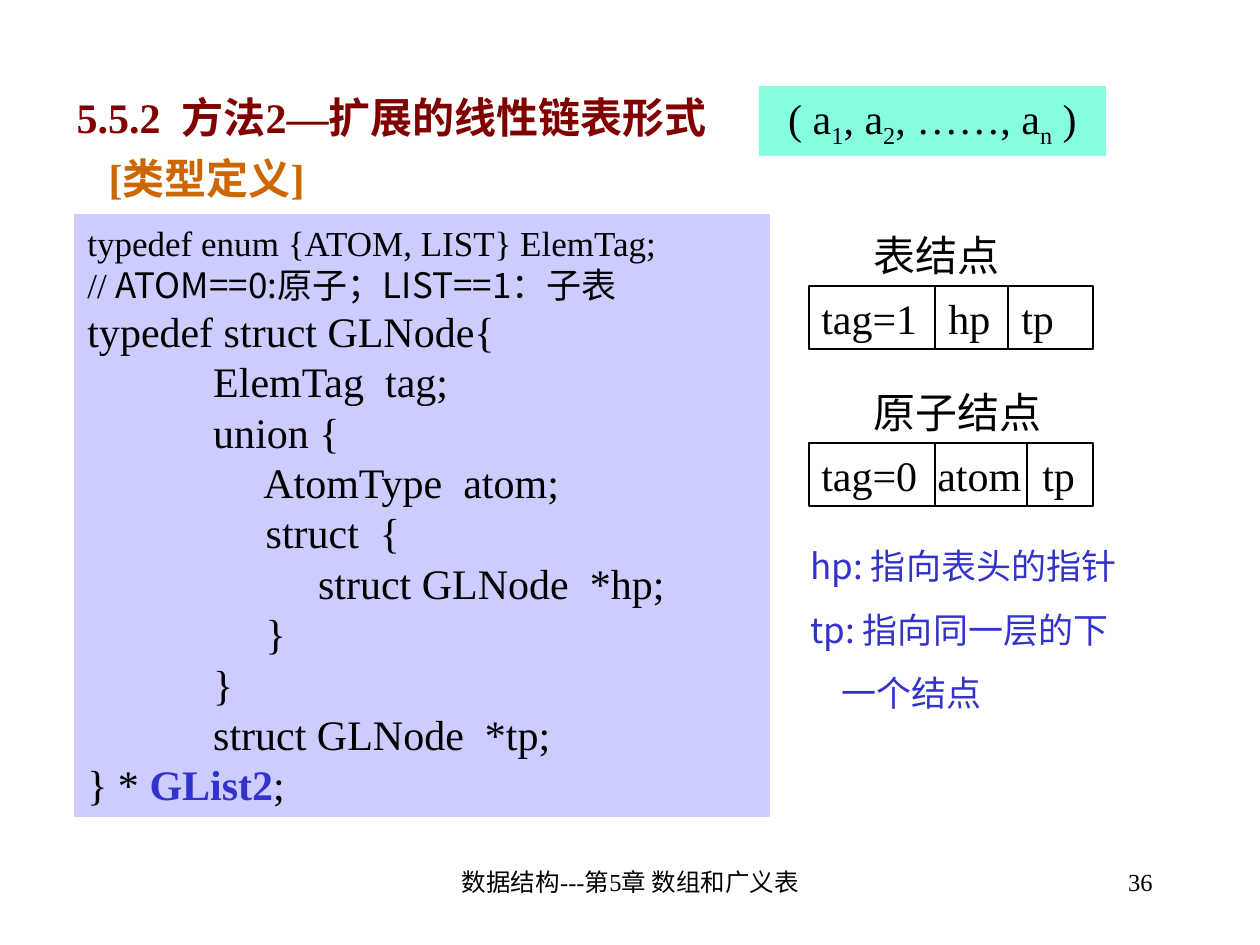
from lxml import etree
from pptx import Presentation
from pptx.dml.color import RGBColor
from pptx.enum.shapes import MSO_CONNECTOR, MSO_SHAPE
from pptx.enum.text import MSO_ANCHOR, PP_ALIGN
from pptx.oxml.ns import qn
from pptx.util import Pt

LEFT, CENTER, RIGHT = PP_ALIGN.LEFT, PP_ALIGN.CENTER, PP_ALIGN.RIGHT
TOP, BOTTOM = MSO_ANCHOR.TOP, MSO_ANCHOR.BOTTOM
RECTANGLE, STRAIGHT = MSO_SHAPE.RECTANGLE, MSO_CONNECTOR.STRAIGHT

PX = 914400 / 126
SERIF, SANS = "Times New Roman", "Noto Sans CJK SC"
COLORS = {
    "ink": "000000", "maroon": "800000", "orange": "CC6600",
    "blue": "3333CC", "mint": "85FFE0", "lavender": "CCCCFF",
}

HEADING = [
    {"text": "5.5.2  方法2—扩展的线性链表形式", "color": "maroon"},
    {"text": "[类型定义]", "color": "orange", "indent": 32, "before": 6},
]
SEQUENCE = [("( a", {}), ("1", {"sub": True}), (", a", {}), ("2", {"sub": True}),
            (", ……, a", {}), ("n", {"sub": True}), (" )", {})]
CODE = [
    {"text": "typedef enum {ATOM, LIST} ElemTag;", "size": 20},
    {"text": [("// ", {}), ("ATOM==0:原子；LIST==1：子表", {"font": SANS})], "size": 20},
    "typedef struct GLNode{",
    "            ElemTag  tag;",
    "            union {",
    "                 AtomType  atom;",
    "                 struct  {",
    "                      struct GLNode  *hp;",
    "                 }",
    "            }",
    "            struct GLNode  *tp;",
    {"text": [("} * ", {}), ("GList2", {"bold": True, "color": "blue"}), (";", {})]},
]
NODES = [
    {"label": "表结点", "top": 286, "dividers": [126, 199],
     "fields": [("tag=1", 0), ("hp", 127), ("tp", 200)]},
    {"label": "原子结点", "top": 443, "dividers": [126, 218],
     "fields": [("tag=0", 0), ("atom", 116), ("tp", 221)]},
]
POINTERS = [
    {"text": "hp: 指向表头的指针"},
    {"text": "tp: 指向同一层的下", "before": 12.5},
    {"text": "一个结点", "before": 12.5, "indent": 31},
]
FOOTERS = [
    ("数据结构---第5章 数组和广义表", (431, 861, 399, 63), CENTER),
    ("36", (903, 861, 262, 63), RIGHT),
]
NODE_LEFT, NODE_WIDTH, FIELD_WIDTH, ROW_HEIGHT = 809, 284, 126, 63


def emu(px):
    return round(px * PX)


def color(name):
    return RGBColor.from_string(COLORS[name])


def add_span(para, text, style):
    span = para.add_run()
    span.text = text
    if "font" in style:
        span.font.name = style["font"]
    if "color" in style:
        span.font.color.rgb = color(style["color"])
    if "bold" in style:
        span.font.bold = style["bold"]
    if "sub" in style:
        span._r.get_or_add_rPr().set("baseline", "-25000")


def write(box, items, size=24, font=SERIF, ink="ink", bold=False, align=LEFT, anchor=TOP):
    frame = box.text_frame
    frame.word_wrap = True
    frame.vertical_anchor = anchor
    for index, item in enumerate(items):
        item = {"text": item} if isinstance(item, str) else item
        para = frame.add_paragraph() if index else frame.paragraphs[0]
        para_size = item.get("size", size)
        para.alignment = align
        para.line_spacing = Pt(para_size * 1.2)
        para.space_before = Pt(item.get("before", 0))
        properties = para._p.get_or_add_pPr()
        properties.set("marL", str(emu(item.get("indent", 0))))
        properties.set("indent", "0")
        para.font.name = font
        para.font.size = Pt(para_size)
        para.font.bold = bold
        para.font.color.rgb = color(item.get("color", ink))
        text = item["text"]
        for words, style in [(text, {})] if isinstance(text, str) else text:
            add_span(para, words, style)


def place(box, area):
    box.left, box.top, box.width, box.height = map(emu, area)


def add_text(page, area, items, **style):
    write(page.shapes.add_textbox(*map(emu, area)), items, **style)


def add_panel(page, area, fill=None, line=None):
    box = page.shapes.add_shape(RECTANGLE, *map(emu, area))
    box.shadow.inherit = False
    if fill:
        box.fill.solid()
        box.fill.fore_color.rgb = color(fill)
    else:
        box.fill.background()
    if line:
        box.line.color.rgb = color(line)
        box.line.width = Pt(0.75)
    else:
        box.line.fill.background()
    return box


def add_divider(page, x, top):
    line = page.shapes.add_connector(STRAIGHT, *map(emu, (x, top, x, top + ROW_HEIGHT)))
    line.line.color.rgb = color("ink")
    line.line.width = Pt(0.75)
    etree.SubElement(line._element.spPr, qn("a:effectLst"))


def add_node(page, node):
    top = node["top"]
    add_text(page, (861, top - ROW_HEIGHT, 262, ROW_HEIGHT), [node["label"]])
    add_panel(page, (NODE_LEFT, top, NODE_WIDTH, ROW_HEIGHT), line="ink")
    for offset in node["dividers"]:
        add_divider(page, NODE_LEFT + offset, top)
    for field, offset in node["fields"]:
        add_text(page, (NODE_LEFT + offset, top, FIELD_WIDTH, ROW_HEIGHT), [field])


def main():
    deck = Presentation()
    deck.slide_width, deck.slide_height = emu(1260), emu(945)
    page = deck.slides.add_slide(deck.slide_layouts[5])
    heading = page.shapes.title
    place(heading, (64, 85, 1092, 129))
    write(heading, HEADING, bold=True)
    sequence = add_panel(page, (759, 86, 347, 70), fill="mint")
    write(sequence, [{"text": SEQUENCE}], align=CENTER, anchor=BOTTOM)
    code = add_panel(page, (75, 215, 694, 601), fill="lavender", line="lavender")
    write(code, CODE)
    for node in NODES:
        add_node(page, node)
    add_text(page, (798, 538, 378, 183), POINTERS, size=20, font=SANS, ink="blue")
    for text, area, align in FOOTERS:
        add_text(page, area, [text], size=14, align=align)
    deck.save("out.pptx")


if __name__ == "__main__":
    main()
